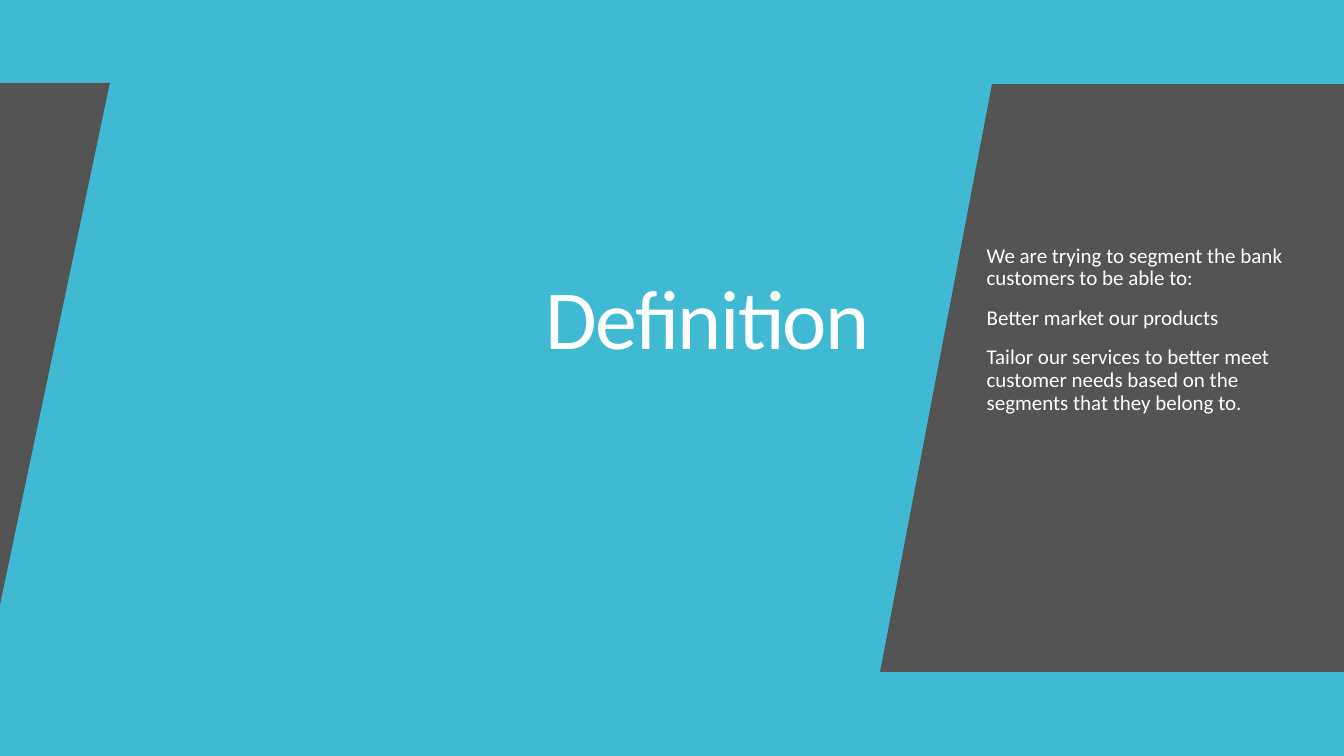
from pptx import Presentation
from pptx.dml.color import RGBColor
from pptx.enum import shapes, text
from pptx.oxml import ns
from pptx.util import Cm, Pt
from lxml import etree

COLORS = {"cyan": "40BAD2", "gray": "545454", "white": "FFFFFF"}
WIDTH, HEIGHT = 33.87, 19.05
PANEL_TOP, PANEL_BOTTOM = 2.12, 16.93

REASONS = [
    "We are trying to segment the bank customers to be able to:",
    "Better market our products",
    "Tailor our services to better meet customer needs based on the segments that they belong to.",
]


def paint(sp, color):
    sp.shadow.inherit = False
    sp.fill.solid()
    sp.fill.fore_color.rgb = RGBColor.from_string(COLORS[color])
    sp.line.fill.background()


def add_backdrop(s):
    sp = s.shapes.add_shape(shapes.MSO_SHAPE.RECTANGLE, 0, 0, Cm(WIDTH), Cm(HEIGHT))
    paint(sp, "cyan")


def add_panel(s, points):
    (x, y), *rest = [(Cm(px), Cm(py)) for px, py in points]
    builder = s.shapes.build_freeform(x, y)
    builder.add_line_segments(rest, close=True)
    paint(builder.convert_to_shape(), "gray")


def fill_placeholder(s, sp, box, lines, size, align, space_before=0):
    """Place, fill and format a placeholder, and bring it to the front."""
    sp.left, sp.top, sp.width, sp.height = (Cm(v) for v in box)
    s.shapes._spTree.append(sp._element)
    tf = sp.text_frame
    tf.text = "\n".join(lines)
    tf.word_wrap = True
    tf.auto_size = text.MSO_AUTO_SIZE.NONE
    tf.vertical_anchor = text.MSO_ANCHOR.MIDDLE
    for p in tf.paragraphs:
        p.alignment = align
        p.line_spacing = 0.9
        p.space_before = Pt(space_before)
        pPr = p._p.get_or_add_pPr()
        pPr.set("marL", "0")
        pPr.set("indent", "0")
        etree.SubElement(pPr, ns.qn("a:buNone"))
        for r in p.runs:
            r.font.name = "Calibri"
            r.font.size = Pt(size)
            r.font.color.rgb = RGBColor.from_string(COLORS["white"])


def main():
    prs = Presentation()
    prs.slide_width, prs.slide_height = Cm(WIDTH), Cm(HEIGHT)
    s = prs.slides.add_slide(prs.slide_layouts[1])

    add_backdrop(s)
    add_panel(s, [(0, 2.09), (2.77, 2.09), (0, 15.24)])
    add_panel(s, [(25, PANEL_TOP), (WIDTH, PANEL_TOP),
                  (WIDTH, PANEL_BOTTOM), (22.18, PANEL_BOTTOM)])

    title, body = s.shapes.title, s.placeholders[1]
    fill_placeholder(s, title, (2.97, 3.61, 19.2, 9.04), ["Definition"], 60,
                     text.PP_ALIGN.RIGHT)
    title.text_frame.paragraphs[0].runs[0].font._element.set("spc", "-100")
    fill_placeholder(s, body, (24.61, 5.94, 8.38, 4.75), REASONS, 15,
                     text.PP_ALIGN.LEFT, space_before=12)

    prs.save("out.pptx")


if __name__ == "__main__":
    main()
